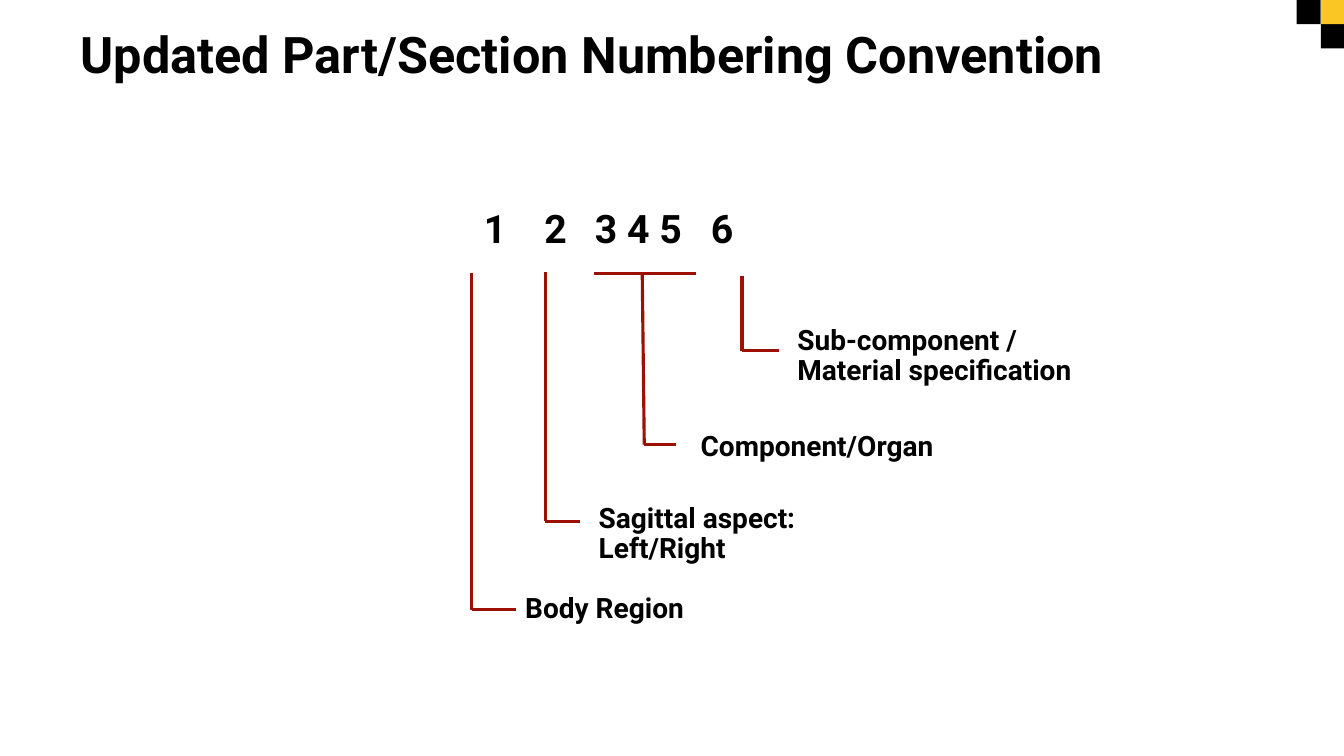
from pptx import Presentation
from pptx.dml.color import RGBColor
from pptx.enum.shapes import MSO_CONNECTOR, MSO_SHAPE
from pptx.enum.text import MSO_ANCHOR, PP_ALIGN
from pptx.oxml.ns import qn
from pptx.util import Inches, Pt
from lxml import etree

LEFT = PP_ALIGN.LEFT
TOP, MIDDLE = MSO_ANCHOR.TOP, MSO_ANCHOR.MIDDLE
STRAIGHT = MSO_CONNECTOR.STRAIGHT
RECTANGLE = MSO_SHAPE.RECTANGLE
FONT = "Roboto"
COLOURS = {"ink": "000000", "accent": "F9C623", "rule": "9C1006", "paper": "FFFFFF"}
DIGIT_GROUPS = ["1", "2", "3 4 5", "6"]
DIGIT_TABS = [0.6, 1.1, 2.25]
BRANCHES = [
    ("Body Region", (4.68, 2.71), (4.68, 6.05), 5.12, (5.11, 5.85, 2.25, 0.37)),
    ("Sagittal aspect: Left/Right", (5.41, 2.7), (5.41, 5.17), 5.75, (5.84, 4.95, 3.26, 0.37)),
    ("Component/Organ", (6.37, 2.7), (6.39, 4.41), 6.7, (6.85, 4.24, 3.71, 0.37)),
    ("Sub-component / Material specification", (7.36, 2.74), (7.36, 3.48), 7.73,
     (7.81, 3.19, 3.41, 0.5)),
]


def colour(name):
    """Return the named colour."""
    return RGBColor.from_string(COLOURS[name])


def write(shape, text, size, anchor=TOP, before=0):
    """Write one bold paragraph into a shape and return it."""
    frame = shape.text_frame
    frame.word_wrap = True
    frame.vertical_anchor = anchor
    para = frame.paragraphs[0]
    para.alignment = LEFT
    para.line_spacing = 0.9
    para.space_before = Pt(before)
    span = para.add_run()
    span.text = text
    span.font.name = FONT
    span.font.size = Pt(size)
    span.font.bold = True
    span.font.color.rgb = colour("ink")
    return para


def add_text(page, box, text, size):
    """Add a text box at the given box and return it with its paragraph."""
    shape = page.shapes.add_textbox(*map(Inches, box))
    return shape, write(shape, text, size, before=10)


def add_rule(page, start, end):
    """Draw a straight red rule between two points."""
    rule = page.shapes.add_connector(STRAIGHT, *map(Inches, (*start, *end)))
    rule.line.color.rgb = colour("rule")
    rule.line.width = Pt(2.25)
    etree.SubElement(rule._element.spPr, qn("a:effectLst"))


def add_corner(page, left, top, side):
    """Draw the three checkered squares in the corner."""
    for column, row, name in [(0, 0, "ink"), (1, 1, "ink"), (1, 0, "accent")]:
        square = page.shapes.add_shape(
            RECTANGLE, Inches(left + column * side), Inches(top + row * side),
            Inches(side), Inches(side))
        square.shadow.inherit = False
        square.fill.solid()
        square.fill.fore_color.rgb = colour(name)
        square.line.fill.background()


def add_title(page, box, text):
    """Place and fill the title placeholder."""
    title = page.shapes.title
    title.left, title.top, title.width, title.height = map(Inches, box)
    write(title, text, 36, anchor=MIDDLE)


def add_digits(page, box):
    """Set the digit groups of the part number on tab stops."""
    shape, para = add_text(page, box, "\t".join(DIGIT_GROUPS), 28)
    shape.text_frame.margin_left = Inches(0.74)
    tabs = etree.SubElement(para._p.get_or_add_pPr(), qn("a:tabLst"))
    for stop in DIGIT_TABS:
        etree.SubElement(tabs, qn("a:tab"), pos=str(Inches(stop)), algn="l")


def add_branch(page, text, start, corner, tick_end, box):
    """Lead from a digit group down and across to its label."""
    add_rule(page, start, corner)
    add_rule(page, corner, (tick_end, corner[1]))
    add_text(page, box, text, 20)


def main():
    """Build and save the deck."""
    deck = Presentation()
    deck.slide_width, deck.slide_height = Inches(13.33), Inches(7.5)
    page = deck.slides.add_slide(deck.slide_layouts[5])
    page.background.fill.solid()
    page.background.fill.fore_color.rgb = colour("paper")
    add_corner(page, 12.86, 0, 0.24)
    add_title(page, (0.7, 0.26, 12.09, 0.61), "Updated Part/Section Numbering Convention")
    add_digits(page, (4.06, 2.03, 3.98, 0.72))
    add_rule(page, (5.89, 2.71), (6.9, 2.71))
    for branch in BRANCHES:
        add_branch(page, *branch)
    deck.save("out.pptx")


if __name__ == "__main__":
    main()
